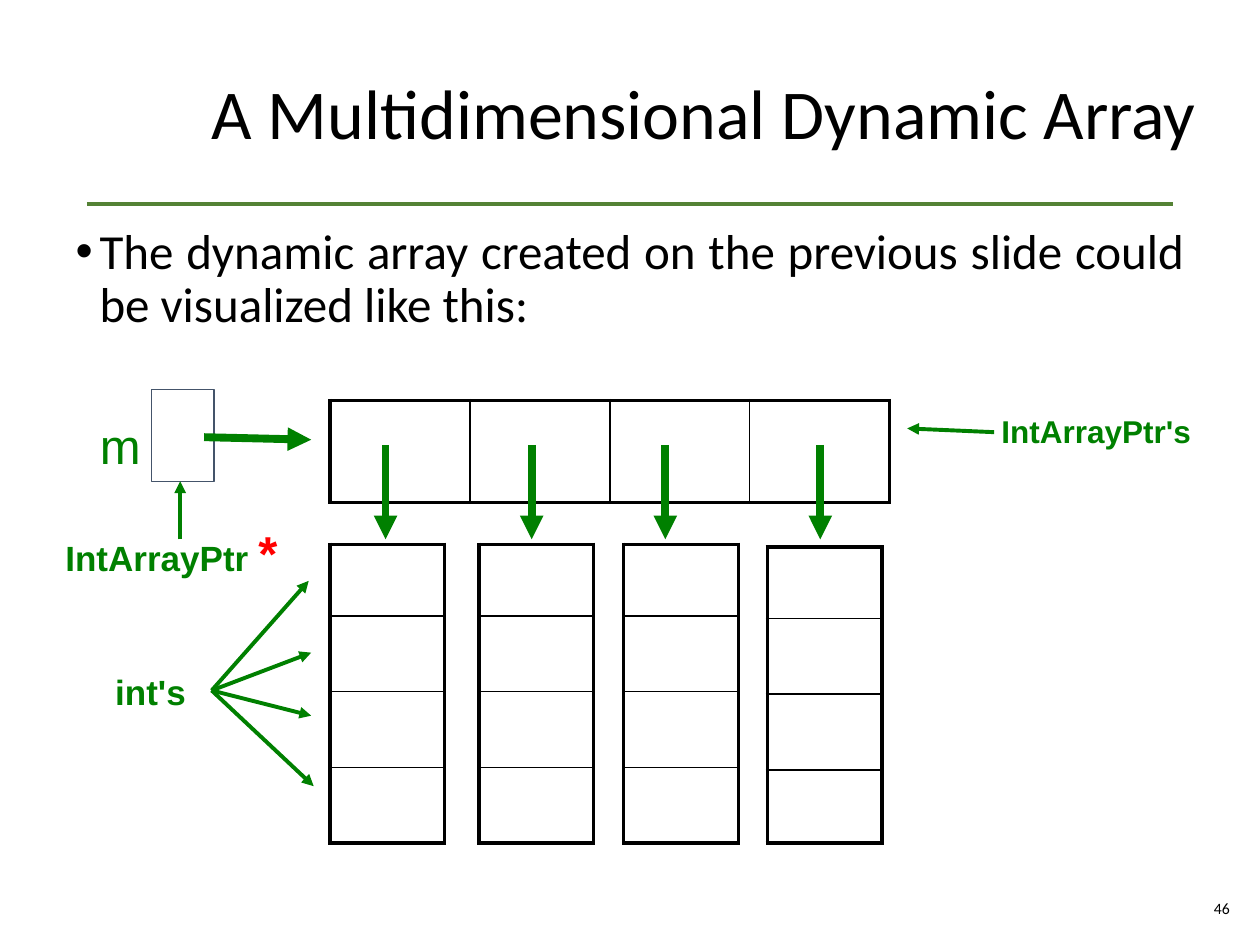
from lxml import etree
from pptx import Presentation
from pptx.dml.color import RGBColor
from pptx.enum.shapes import MSO_CONNECTOR, MSO_SHAPE
from pptx.enum.text import MSO_ANCHOR, MSO_AUTO_SIZE, PP_ALIGN
from pptx.oxml.ns import qn
from pptx.util import Inches, Pt

STRAIGHT, RECTANGLE = MSO_CONNECTOR.STRAIGHT, MSO_SHAPE.RECTANGLE
MIDDLE, NO_FIT = MSO_ANCHOR.MIDDLE, MSO_AUTO_SIZE.NONE
LEFT, CENTER, RIGHT, JUSTIFY = PP_ALIGN.LEFT, PP_ALIGN.CENTER, PP_ALIGN.RIGHT, PP_ALIGN.JUSTIFY

BLACK = RGBColor(0x00, 0x00, 0x00)
GREEN = RGBColor(0x00, 0x80, 0x00)
RED = RGBColor(0xFF, 0x00, 0x00)
SLATE = RGBColor(0x44, 0x54, 0x6A)
RULE_GREEN = RGBColor(0x54, 0x82, 0x35)
THIN, BOLD, THICK = 1, 2.25, 4.5

# Content
TITLE = "A Multidimensional Dynamic Array"
STATEMENT = "The dynamic array created on the previous slide could be visualized like this:"
PAGE_NUMBER = "46"
LABELS = [  # box, runs of (text, size, bold, colour)
    ((0.69, 3.25, 0.53, 0.57), [("m", 28, False, GREEN)]),
    ((7.8, 3.22, 1.8, 0.4), [("IntArrayPtr's", 18, True, GREEN)]),
    ((0.77, 5.27, 0.85, 0.44), [("int's", 20, True, GREEN)]),
    ((0.41, 4.1, 1.9, 0.57), [("IntArrayPtr ", 20, True, GREEN), ("*", 28, True, RED)]),
]

# Diagram geometry in inches
POINTER_BOX = (1.2, 3.09, 0.5, 0.73)
ARRAY_LEFT, POINTER_TOP = 2.62, 3.18
POINTER_COLUMNS, POINTER_ROWS = [1.11] * 4, [0.81]
INT_COLUMNS, INT_ROWS = [0.91], [0.57, 0.6, 0.6, 0.6]
INT_ARRAYS = [  # left, top, row heights
    (ARRAY_LEFT, 4.32, INT_ROWS),
    (3.8, 4.32, INT_ROWS),
    (4.95, 4.32, INT_ROWS),
    (6.09, 4.34, INT_ROWS[:3] + [0.58]),
]
DOWN_ARROWS_X = [3.06, 4.22, 5.28, 6.51]
INTS_ORIGIN = (1.68, 5.48)
INTS_TARGETS = [(2.45, 4.61), (2.47, 5.18), (2.47, 5.68), (2.49, 6.24)]

ARROWS = [((1.62, 3.47), (2.47, 3.49), THICK)]
ARROWS += [((x, 3.53), (x, 4.28), THICK) for x in DOWN_ARROWS_X]
ARROWS += [(INTS_ORIGIN, target, BOLD) for target in INTS_TARGETS]
ARROWS += [((7.89, 3.43), (7.2, 3.4), BOLD), ((1.43, 4.28), (1.43, 3.82), BOLD)]


def inches(values):
    return [Inches(value) for value in values]


def place(shape, box):
    shape.left, shape.top, shape.width, shape.height = inches(box)


def style(run, size, color=BLACK, font="Calibri", bold=False):
    run.font.size, run.font.name, run.font.bold = Pt(size), font, bold
    run.font.color.rgb = color


def add_line(start, end, color, width, arrow=False):
    line = slide.shapes.add_connector(STRAIGHT, *inches(start + end))
    line.line.color.rgb, line.line.width = color, Pt(width)
    if arrow:
        etree.SubElement(line.line._get_or_add_ln(), qn("a:tailEnd"), type="triangle")
    etree.SubElement(line._element.spPr, qn("a:effectLst"))


def set_border(cell_properties, side, width):
    border = etree.SubElement(cell_properties, qn("a:" + side), w=str(Pt(width)))
    fill = etree.SubElement(border, qn("a:solidFill"))
    etree.SubElement(fill, qn("a:srgbClr"), val=str(BLACK))


def add_array(left, top, columns, rows):
    """Empty grid with a bold outline and thin inner lines."""
    box = (left, top, sum(columns), sum(rows))
    grid = slide.shapes.add_table(len(rows), len(columns), *inches(box)).table
    grid.first_row = grid.horz_banding = False
    for column, width in zip(grid.columns, columns):
        column.width = Inches(width)
    for row, height in zip(grid.rows, rows):
        row.height = Inches(height)
    for r in range(len(rows)):
        for c in range(len(columns)):
            cell = grid.cell(r, c)
            outer = {"lnL": c == 0, "lnR": c == len(columns) - 1,
                     "lnT": r == 0, "lnB": r == len(rows) - 1}
            properties = cell._tc.get_or_add_tcPr()
            for side, is_outer in outer.items():
                set_border(properties, side, BOLD if is_outer else THIN)
            cell.fill.background()


presentation = Presentation()
presentation.slide_width, presentation.slide_height = Inches(10), Inches(7.5)
slide = presentation.slides.add_slide(presentation.slide_layouts[1])

# Title, statement and rule
title, statement = slide.placeholders
for holder, box, text, size, align in [
    (title, (1.58, 0.3, 8.27, 1.25), TITLE, 40, LEFT),
    (statement, (0.5, 1.75, 9, 5.26), STATEMENT, 28, JUSTIFY),
]:
    place(holder, box)
    holder.text_frame.text = text
    holder.text_frame.auto_size = NO_FIT
    paragraph = holder.text_frame.paragraphs[0]
    paragraph.alignment, paragraph.line_spacing = align, 0.9
    style(paragraph.runs[0], size)
title.text_frame.vertical_anchor = MIDDLE
paragraph.space_before = Pt(7.5)
bullet_indent = paragraph._p.get_or_add_pPr()
bullet_indent.set("marL", str(Inches(0.19)))
bullet_indent.set("indent", str(-Inches(0.19)))
add_line((0.69, 1.62), (9.31, 1.62), RULE_GREEN, 2)

# Arrays and the pointer variable
add_array(ARRAY_LEFT, POINTER_TOP, POINTER_COLUMNS, POINTER_ROWS)
for left, top, rows in INT_ARRAYS:
    add_array(left, top, INT_COLUMNS, rows)
pointer = slide.shapes.add_shape(RECTANGLE, *inches(POINTER_BOX))
pointer.shadow.inherit = False
pointer.fill.background()
pointer.line.color.rgb, pointer.line.width = SLATE, Pt(0.75)

# Arrows
for start, end, width in ARROWS:
    add_line(start, end, GREEN, width, arrow=True)

# Labels, each kept on one line
for box, parts in LABELS:
    label = slide.shapes.add_textbox(*inches(box)).text_frame
    label.word_wrap = False
    label.paragraphs[0].alignment = CENTER
    for text, size, bold, color in parts:
        run = label.paragraphs[0].add_run()
        run.text = text
        style(run, size, color, "Arial", bold)

# Page number
page = slide.shapes.add_textbox(*inches((9.46, 7.01, 0.4, 0.4))).text_frame
page.text, page.word_wrap, page.vertical_anchor = PAGE_NUMBER, True, MIDDLE
page.paragraphs[0].alignment = RIGHT
style(page.paragraphs[0].runs[0], 9)

presentation.save("out.pptx")
